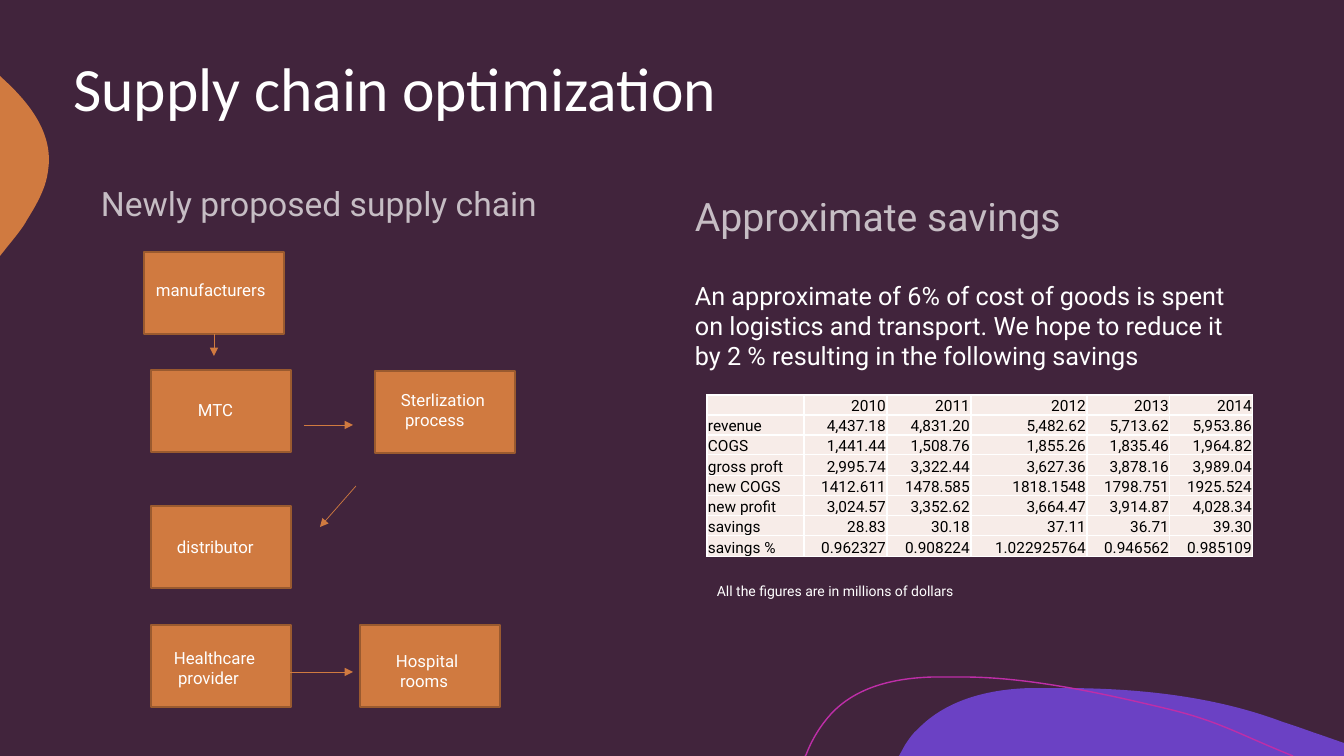
"""Build the supply chain optimization slide."""
from lxml import etree
from pptx import Presentation
from pptx.dml.color import RGBColor
from pptx.enum.shapes import MSO_CONNECTOR, MSO_SHAPE
from pptx.enum.text import MSO_ANCHOR, MSO_AUTO_SIZE, PP_ALIGN
from pptx.oxml.ns import qn
from pptx.util import Pt

PX = 914400 / 100.8
RECT = MSO_SHAPE.RECTANGLE
LINE = MSO_CONNECTOR.STRAIGHT
LEFT, RIGHT = PP_ALIGN.LEFT, PP_ALIGN.RIGHT
MIDDLE, BOTTOM = MSO_ANCHOR.MIDDLE, MSO_ANCHOR.BOTTOM
FIXED = MSO_AUTO_SIZE.NONE
PLUM = RGBColor(0x41, 0x24, 0x3C)
ORANGE = RGBColor(0xD0, 0x7A, 0x40)
BROWN = RGBColor(0x9A, 0x5A, 0x2F)
PURPLE = RGBColor(0x6B, 0x41, 0xC4)
PINK = RGBColor(0xBE, 0x2E, 0xA8)
CREAM = RGBColor(0xF7, 0xEC, 0xE8)
WHITE = RGBColor(0xFF, 0xFF, 0xFF)
BLACK = RGBColor(0, 0, 0)


def emu(*nums):
    """Turn px lengths into EMU."""
    return [round(n * PX) for n in nums]


def write(frame, text, size, color=WHITE, font="Roboto", **form):
    """Fill a text frame, one paragraph a line, and format it."""
    frame.text = text
    for para in frame.paragraphs:
        for key, val in form.items():
            setattr(para, key, val)
        for run in para.runs:
            look = {"size": Pt(size), "name": font}
            for key, val in look.items():
                setattr(run.font, key, val)
            run.font.color.rgb = color


deck = Presentation()
deck.slide_width, deck.slide_height = emu(1344, 756)
slide = deck.slides.add_slide(deck.slide_layouts[5])
slide.background.fill.solid()
slide.background.fill.fore_color.rgb = PLUM
shapes = slide.shapes

waves = [
    (PURPLE, None, (1062, 688), [
        (1138, 688, 1214, 696, 1283, 722), (1296, 726, 1309, 731, 1321, 735),
        (1344, 743), (1344, 756), (899, 756), (905, 745),
        (909, 739, 913, 733, 918, 729), (947, 699, 990, 689, 1031, 688),
        (1041, 688, 1052, 688, 1062, 688)]),
    (ORANGE, None, (0, 76), [
        (1, 77), (30, 103, 54, 134, 48, 171), (46, 188, 37, 204, 27, 220),
        (24, 226, 17, 235, 8, 246), (0, 256)]),
    (None, PINK, (805, 756), [
        (806, 755), (812, 739, 821, 725, 831, 714),
        (857, 686, 896, 678, 933, 677), (963, 677),
        (1031, 677, 1109, 695, 1164, 708),
        (1219, 721, 1236, 733, 1293, 756)]),
]
for fill, edge, start, parts in waves:
    pen = shapes.build_freeform(*emu(*start), scale=1.0)
    pen.add_line_segments([emu(*part[-2:]) for part in parts], close=fill is not None)
    wave = pen.convert_to_shape()
    wave.shadow.inherit = False
    for leg, part in zip(list(wave._element.iter(qn("a:lnTo"))), parts):
        if len(part) == 6:
            leg.tag = qn("a:cubicBezTo")
            leg.clear()
            for x, y in zip(emu(*part[::2]), emu(*part[1::2])):
                etree.SubElement(leg, qn("a:pt"), x=str(x - wave.left), y=str(y - wave.top))
    if fill:
        wave.fill.solid()
        wave.fill.fore_color.rgb = fill
        wave.line.fill.background()
    else:
        wave.fill.background()
        wave.line.color.rgb = edge
        wave.line.width = Pt(1)

title = shapes.title
title.left, title.top, title.width, title.height = emu(63, 8, 1176, 168)
write(title.text_frame, "Supply chain optimization", 44, font="Calibri",
      alignment=LEFT, line_spacing=0.9)
title.text_frame.vertical_anchor = MIDDLE
title.text_frame.auto_size = FIXED

heads = [(91, 168, "Newly proposed supply chain", 24),
         (685, 176, "Approximate savings", 28)]
for x, y, text, size in heads:
    frame = shapes.add_textbox(*emu(x, y, 568, 420)).text_frame
    frame.word_wrap = True
    write(frame, text, size, line_spacing=1.25, space_before=Pt(10))
    for tint in frame._txBody.iter(qn("a:srgbClr")):
        etree.SubElement(tint, qn("a:alpha"), val="70000")

for x, y in [(144, 252), (151, 370), (375, 371), (151, 506), (151, 625), (360, 625)]:
    box = shapes.add_shape(RECT, *emu(x, y, 140, 82))
    box.shadow.inherit = False
    box.fill.solid()
    box.fill.fore_color.rgb = ORANGE
    box.line.color.rgb = BROWN
    box.line.width = Pt(1)

notes = [
    (146, 275, 130, 30, "manufacturers", 12),
    (188, 395, 122, 30, "MTC", 12),
    (391, 385, 118, 50, "Sterlization\n process", 12),
    (167, 532, 125, 30, "distributor", 12),
    (164, 643, 125, 50, "Healthcare\n provider", 12),
    (386, 646, 106, 50, "Hospital\n rooms", 12),
    (685, 275, 568, 102, "An approximate of 6% of cost of goods is spent on logistics "
     "and transport. We hope to reduce it by 2 % resulting in the following savings", 18),
    (707, 578, 493, 27, "All the figures are in millions of dollars", 10),
]
for x, y, w, h, text, size in notes:
    frame = shapes.add_textbox(*emu(x, y, w, h)).text_frame
    frame.word_wrap = True
    write(frame, text, size)

flows = [(214, 334, 214, 356), (304, 425, 353, 425),
         (356, 486, 320, 527), (273, 672, 353, 672)]
for ends in flows:
    flow = shapes.add_connector(LINE, *emu(*ends))
    flow.line.color.rgb = ORANGE
    flow.line.width = Pt(0.5)
    etree.SubElement(flow.line._get_or_add_ln(), qn("a:tailEnd"), type="triangle")
    etree.SubElement(flow._element.spPr, qn("a:effectLst"))

rows = [
    ("", "2010", "2011", "2012", "2013", "2014"),
    ("revenue", "4,437.18", "4,831.20", "5,482.62", "5,713.62", "5,953.86"),
    ("COGS", "1,441.44", "1,508.76", "1,855.26", "1,835.46", "1,964.82"),
    ("gross proft", "2,995.74", "3,322.44", "3,627.36", "3,878.16", "3,989.04"),
    ("new COGS", "1412.611", "1478.585", "1818.1548", "1798.751", "1925.524"),
    ("new profit", "3,024.57", "3,352.62", "3,664.47", "3,914.87", "4,028.34"),
    ("savings", "28.83", "30.18", "37.11", "36.71", "39.30"),
    ("savings %", "0.962327", "0.908224", "1.022925764", "0.946562", "0.985109"),
]
widths = emu(97, 83, 84, 116, 83, 83)
table = shapes.add_table(len(rows), len(widths), *emu(707, 395, 546, 162)).table
table.first_row = table.horz_banding = False
for col, width in zip(table.columns, widths):
    col.width = width
thin, = emu(1)
pads = {"margin_left": thin, "margin_right": thin, "margin_top": thin,
        "margin_bottom": 0, "vertical_anchor": BOTTOM}
for r, row in enumerate(rows):
    table.rows[r].height, = emu(21 if r % 4 == 3 else 20)
    for c, text in enumerate(row):
        cell = table.cell(r, c)
        for key, val in pads.items():
            setattr(cell, key, val)
        write(cell.text_frame, text, 11, BLACK, alignment=RIGHT if c else LEFT)
        para = cell.text_frame.paragraphs[0]._p
        etree.SubElement(para, qn("a:endParaRPr"), sz="1100")
        props = cell._tc.get_or_add_tcPr()
        for side in ("L", "R", "T", "B"):
            edge = etree.SubElement(props, qn("a:ln" + side), w=str(Pt(1)))
            solid = etree.SubElement(edge, qn("a:solidFill"))
            etree.SubElement(solid, qn("a:srgbClr"), val=str(WHITE))
        cell.fill.solid()
        cell.fill.fore_color.rgb = CREAM

deck.save("out.pptx")
